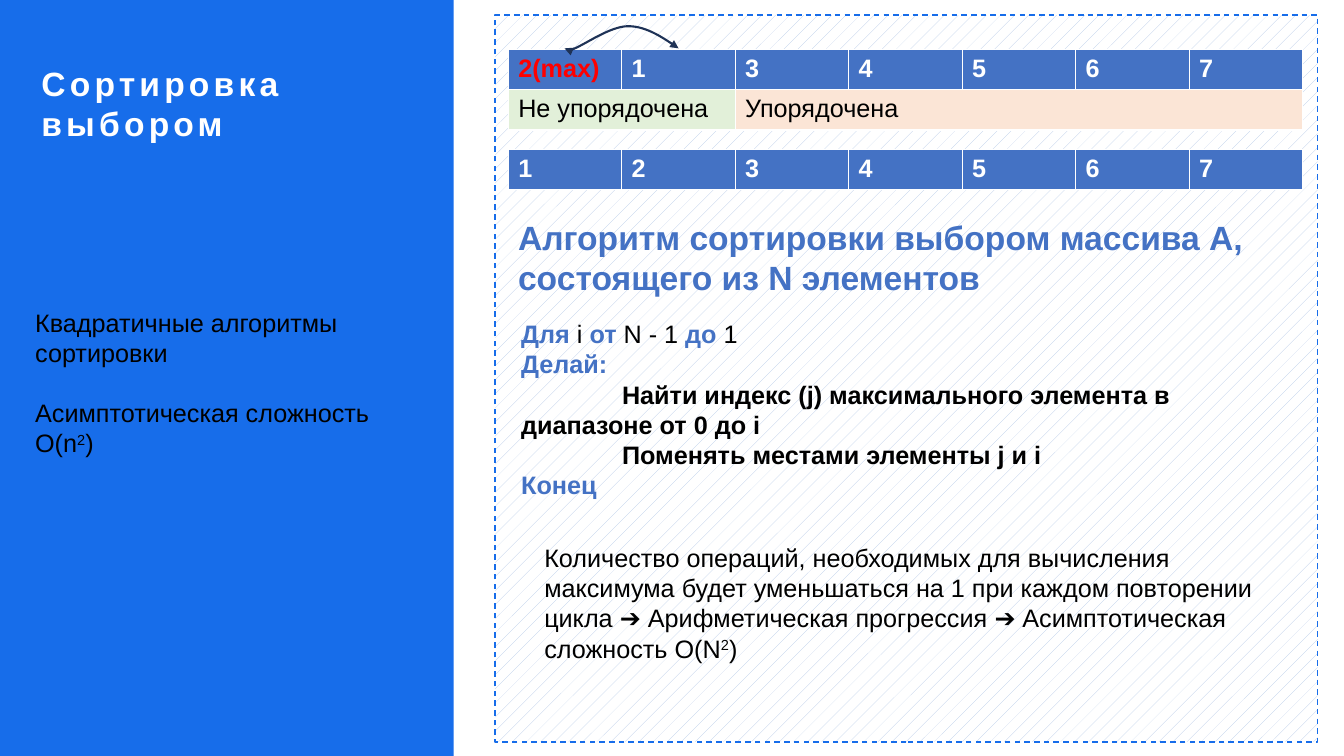
"""Build the slide on selection sort."""
from typing import NamedTuple

import lxml.etree
import pptx
import pptx.dml.color
import pptx.enum.dml
import pptx.enum.shapes
import pptx.enum.text
import pptx.oxml.ns
import pptx.util

RGB = pptx.dml.color.RGBColor
Kind = pptx.enum.shapes.MSO_SHAPE
WHITE = RGB(0xFF, 0xFF, 0xFF)
BLACK = RGB(0, 0, 0)
RED = RGB(0xFF, 0, 0)
BRIGHT = RGB(0x17, 0x6D, 0xEA)
BLUE = RGB(0x44, 0x72, 0xC4)
PALE = RGB(0xB4, 0xC7, 0xE7)
NAVY = RGB(0x1E, 0x32, 0x56)
GREEN = RGB(0xE2, 0xF0, 0xD9)
PEACH = RGB(0xFB, 0xE5, 0xD6)
WIDE = pptx.util.Inches(13.33)
HIGH = pptx.util.Inches(7.5)
COLS = 7


def across(share: float) -> int:
    """Turn a percentage of the slide's width into a length."""
    return round(WIDE * share / 100)


def down(share: float) -> int:
    """Turn a percentage of the slide's height into a length."""
    return round(HIGH * share / 100)


class Box(NamedTuple):
    """Hold a place in percentages of the slide."""
    left: float
    top: float
    width: float
    height: float

    def place(self) -> tuple:
        """Give the place as lengths."""
        return (across(self.left), down(self.top),
                across(self.width), down(self.height))


class Word(NamedTuple):
    """Hold one run of text with its own format."""
    text: str
    color: RGB = BLACK
    bold: bool = False
    raised: bool = False


class Line(NamedTuple):
    """Hold one paragraph."""
    words: list
    indent: float = 0
    before: float = 0


class Band(NamedTuple):
    """Hold one table cell that spans some columns."""
    word: Word
    fill: RGB
    span: int = 1


def style(para, word: Word, size: float = 18):
    """Add one formatted run to a paragraph."""
    run = para.add_run()
    run.text = word.text
    run.font.name = "Arial"
    run.font.size = pptx.util.Pt(size)
    run.font.bold = word.bold
    run.font.color.rgb = word.color
    return run


def write(frame, lines: list, size: float = 18, space: int = 0,
          inset: tuple = (0.1, 0.05, 0.1, 0.05)) -> None:
    """Fill a text frame with formatted lines."""
    frame.word_wrap = True
    frame.auto_size = pptx.enum.text.MSO_AUTO_SIZE.NONE
    frame.vertical_anchor = pptx.enum.text.MSO_ANCHOR.TOP
    (frame.margin_left, frame.margin_top, frame.margin_right,
     frame.margin_bottom) = map(pptx.util.Inches, inset)
    for row, line in enumerate(lines):
        para = frame.add_paragraph() if row else frame.paragraphs[0]
        props = para._p.get_or_add_pPr()
        props.set("marL", "0")
        props.set("indent", str(pptx.util.Inches(line.indent)))
        lxml.etree.SubElement(props, pptx.oxml.ns.qn("a:buNone"))
        para.alignment = pptx.enum.text.PP_ALIGN.LEFT
        para.space_before = pptx.util.Pt(line.before)
        for word in line.words:
            props = style(para, word, size)._r.get_or_add_rPr()
            if space:
                props.set("spc", str(space * 100))
            if word.raised:
                props.set("baseline", "30000")


def label(slide, box: Box, lines: list, size: float = 18) -> None:
    """Add a text box."""
    write(slide.shapes.add_textbox(*box.place()).text_frame, lines, size)


def fit(slide, holder, box: Box):
    """Move a placeholder to its place, in front of what is drawn."""
    holder.left, holder.top, holder.width, holder.height = box.place()
    slide.shapes.element.append(holder.element)
    return holder.text_frame


def block(slide, box: Box):
    """Add a plain rectangle."""
    shape = slide.shapes.add_shape(Kind.RECTANGLE, *box.place())
    shape.shadow.inherit = False
    return shape


def grid(slide, box: Box, rows: list) -> None:
    """Add a table of bands."""
    table = slide.shapes.add_table(len(rows), COLS, *box.place()).table
    for row, bands in enumerate(rows):
        col = 0
        for band in bands:
            cell = table.cell(row, col)
            if band.span > 1:
                cell.merge(table.cell(row, col + band.span - 1))
            cell.fill.solid()
            cell.fill.fore_color.rgb = band.fill
            style(cell.text_frame.paragraphs[0], band.word)
            col += band.span


def bend(knots: list, steps: int = 16) -> list:
    """Give the points along a cubic curve."""
    shares = [step / steps for step in range(1, steps + 1)]
    return [tuple((1 - t) ** 3 * a + 3 * t * (1 - t) ** 2 * b
                  + 3 * t * t * (1 - t) * c + t ** 3 * d
                  for a, b, c, d in zip(*knots)) for t in shares]


def swap(slide, knots: list) -> None:
    """Draw the curved arrow between two swapped items."""
    spots = [(across(x), down(y)) for x, y in knots]
    pen = slide.shapes.build_freeform(*spots[0])
    for start in range(0, len(spots) - 1, 3):
        pen.add_line_segments(bend(spots[start:start + 4]), close=False)
    arc = pen.convert_to_shape()
    arc.shadow.inherit = False
    arc.fill.background()
    arc.line.color.rgb = NAVY
    arc.line.width = pptx.util.Pt(1.5)
    for end in ("a:headEnd", "a:tailEnd"):
        lxml.etree.SubElement(arc.line._get_or_add_ln(),
                              pptx.oxml.ns.qn(end), type="triangle")


def heads(texts: list) -> list:
    """Make the header bands of an array."""
    return [Band(Word(text, RED if "max" in text else WHITE, True), BLUE)
            for text in texts]


def main() -> None:
    """Build and save the slide."""
    deck = pptx.Presentation()
    deck.slide_width, deck.slide_height = WIDE, HIGH
    slide = deck.slides.add_slide(deck.slide_layouts[1])
    title, body = slide.placeholders

    side = block(slide, Box(0, 0, 33.76, 100))
    side.fill.solid()
    side.fill.fore_color.rgb = BRIGHT
    side.line.fill.background()
    write(fit(slide, title, Box(3.08, 8.27, 30.68, 10.8)),
          [Line([Word("Сортировка выбором", WHITE, True)])],
          size=24, space=3, inset=(0, 0, 0, 0))
    panel = block(slide, Box(36.83, 2, 61.22, 96.13))
    panel.fill.patterned()
    panel.fill.pattern = pptx.enum.dml.MSO_PATTERN.PERCENT_5
    panel.fill.fore_color.rgb = PALE
    panel.fill.back_color.rgb = WHITE
    panel.line.color.rgb = BRIGHT
    panel.line.width = pptx.util.Pt(1)
    panel.line.dash_style = pptx.enum.dml.MSO_LINE.DASH
    label(slide, Box(1.88, 40, 30.68, 21.6), [
        Line([Word("Квадратичные алгоритмы сортировки")]),
        Line([Word("Асимптотическая сложность O(n"),
              Word("2", raised=True), Word(")")], before=21)])
    grid(slide, Box(37.81, 6.53, 59.11, 10.67), [
        heads(["2(max)", *"134567"]),
        [Band(Word("Не упорядочена"), GREEN, 2),
         Band(Word("Упорядочена"), PEACH, 5)]])
    swap(slide, [(42.01, 6.4), (41.94, 6.67), (41.86, 7.07), (42.61, 6.53),
                 (43.44, 6), (45.39, 3.47), (46.74, 3.47),
                 (48.09, 3.47), (49.29, 4.93), (50.49, 6.4)])
    grid(slide, Box(37.81, 19.73, 59.11, 5.33), [heads([*"1234567"])])
    label(slide, Box(37.81, 28, 59.49, 12.13), [Line([Word(
        "Алгоритм сортировки выбором массива А, состоящего из N элементов",
        BLUE, True)])], size=24)
    write(fit(slide, body, Box(38.03, 41.47, 59.49, 25.6)), [
        Line([Word("Для ", BLUE, True), Word("i "), Word("от ", BLUE, True),
              Word("N - 1 "), Word("до", BLUE, True), Word(" 1")]),
        Line([Word("Делай:", BLUE, True)]),
        Line([Word("Найти индекс (j) максимального элемента в "
                   "диапазоне от 0 до i", bold=True)], indent=1),
        Line([Word("Поменять местами элементы j и i", bold=True)], indent=1),
        Line([Word("Конец", BLUE, True)])], inset=(0.1, 0.05, 0.5, 0.05))
    label(slide, Box(39.76, 71.07, 57.76, 17.47), [Line([
        Word("Количество операций, необходимых для вычисления максимума "
             "будет уменьшаться на 1 при каждом повторении цикла ➔ "
             "Арифметическая прогрессия ➔ Асимптотическая сложность O(N"),
        Word("2", raised=True), Word(")")])])
    deck.save("out.pptx")


if __name__ == "__main__":
    main()
